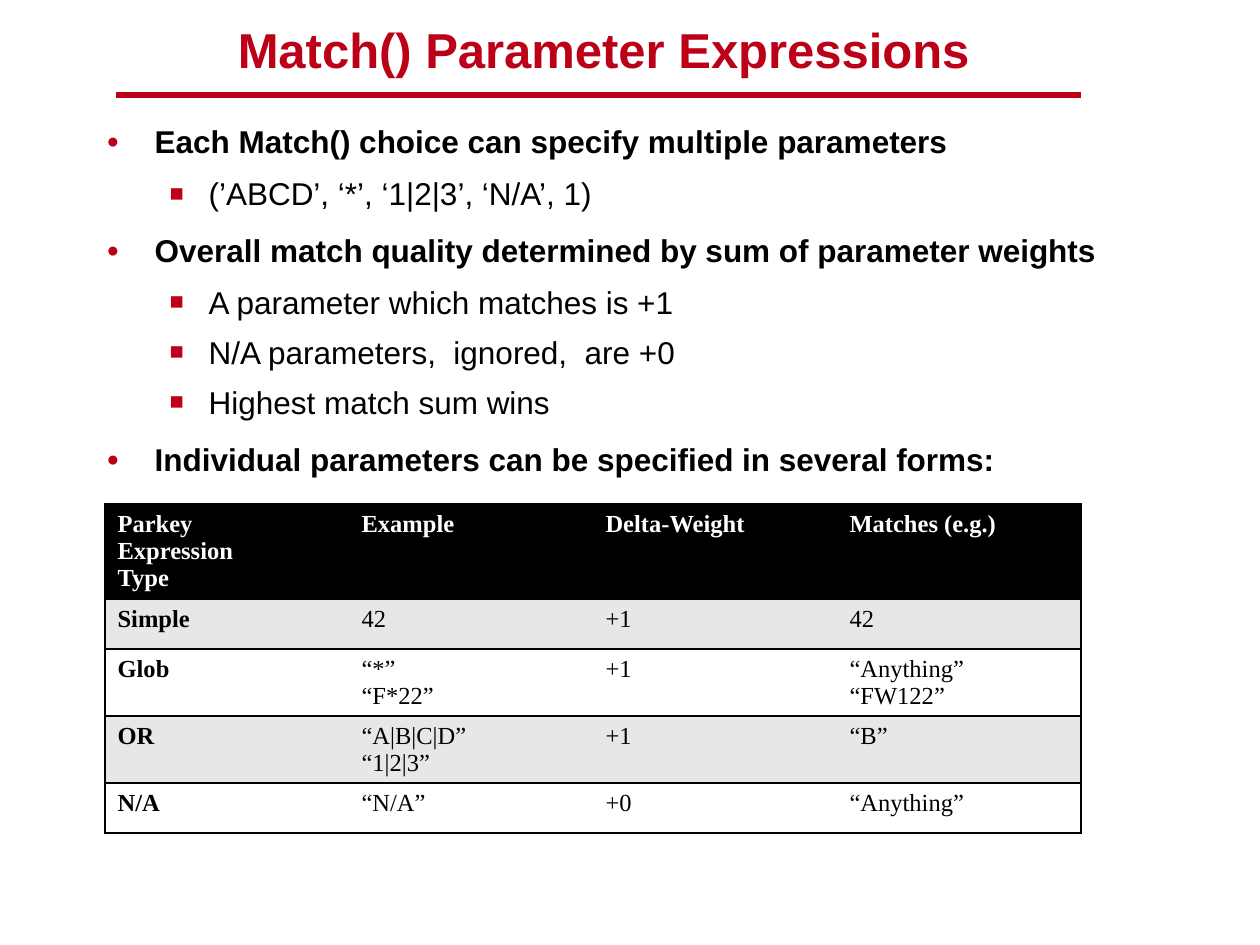
from lxml import etree
from pptx import Presentation
from pptx.dml.color import RGBColor
from pptx.enum.shapes import MSO_CONNECTOR
from pptx.enum.text import MSO_ANCHOR, MSO_AUTO_SIZE, PP_ALIGN
from pptx.oxml.ns import qn
from pptx.util import Emu, Pt

STRAIGHT = MSO_CONNECTOR.STRAIGHT
MIDDLE, TOP = MSO_ANCHOR.MIDDLE, MSO_ANCHOR.TOP
NO_FIT = MSO_AUTO_SIZE.NONE
CENTER = PP_ALIGN.CENTER
PX = 914400 / 126
COLORS = {"red": "BB0018", "black": "000000", "white": "FFFFFF", "band": "E7E7E7"}


def px(n):
    return Emu(round(n * PX))


def style(p, font, size, color, bold):
    for r in p.runs:
        r.font.name, r.font.size, r.font.bold = font, Pt(size), bold
        r.font.color.rgb = RGBColor.from_string(COLORS[color])


prs = Presentation()
prs.slide_width, prs.slide_height = px(1260), px(945)
s = prs.slides.add_slide(prs.slide_layouts[1])
title, body = s.placeholders

# Rule under the title
rule = s.shapes.add_connector(STRAIGHT, px(116), px(95), px(1081), px(95))
rule.line.color.rgb = RGBColor.from_string(COLORS["red"])
rule.line.width = Pt(3)
etree.SubElement(rule._element.spPr, qn("a:effectLst"))

# Title
title.left, title.top, title.width, title.height = px(126), px(21), px(955), px(55)
tf = title.text_frame
tf.text = "Match() Parameter Expressions"
tf.auto_size, tf.vertical_anchor = NO_FIT, MIDDLE
tf.paragraphs[0].alignment = CENTER
style(tf.paragraphs[0], "Arial", 28, "red", True)

# Bulleted list: level and text
items = [
    (0, "Each Match() choice can specify multiple parameters"),
    (1, "(’ABCD’, ‘*’, ‘1|2|3’, ‘N/A’, 1)"),
    (0, "Overall match quality determined by sum of parameter weights"),
    (1, "A parameter which matches is +1"),
    (1, "N/A parameters,  ignored,  are +0"),
    (1, "Highest match sum wins"),
    (0, "Individual parameters can be specified in several forms:"),
]
# For each level: left margin, hanging indent, space before and after, bullet, bullet size
levels = [(48, 48, 4, 8, "●", 67), (102, 39, 0, 7, "■", 75)]
body.left, body.top, body.width, body.height = px(94), px(116), px(1072), px(683)
tf = body.text_frame
tf.text = "\n".join(text for _, text in items)
tf.auto_size, tf.vertical_anchor = NO_FIT, TOP
for p, (level, _) in zip(tf.paragraphs, items):
    margin, hang, before, after, bullet, bullet_size = levels[level]
    p.level = level
    p.space_before, p.space_after = Pt(before), Pt(after)
    style(p, "Arial", 18, "black", level == 0)
    pPr = p._p.get_or_add_pPr()
    pPr.set("marL", str(px(margin)))
    pPr.set("indent", str(-px(hang)))
    clr = etree.SubElement(pPr, qn("a:buClr"))
    etree.SubElement(clr, qn("a:srgbClr"), val=COLORS["red"])
    etree.SubElement(pPr, qn("a:buSzPct"), val=str(bullet_size * 1000))
    etree.SubElement(pPr, qn("a:buFont"), typeface="Arial")
    etree.SubElement(pPr, qn("a:buChar"), char=bullet)

# Table of parameter forms
rows = [
    ("Parkey\nExpression\nType", "Example", "Delta-Weight", "Matches (e.g.)"),
    ("Simple", "42", "+1", "42"),
    ("Glob", "“*”\n“F*22”", "+1", "“Anything”\n“FW122”"),
    ("OR", "“A|B|C|D”\n“1|2|3”", "+1", "“B”"),
    ("N/A", "“N/A”", "+0", "“Anything”"),
]
heights = [95, 50, 67, 67, 50]
table = s.shapes.add_table(5, 4, px(105), px(504), px(976), px(sum(heights))).table
for i, (row, height) in enumerate(zip(rows, heights)):
    table.rows[i].height = px(height)
    fill = "black" if i == 0 else "band" if i % 2 else "white"
    for j, text in enumerate(row):
        cell = table.cell(i, j)
        cell.text = text
        for p in cell.text_frame.paragraphs:
            style(p, "Times New Roman", 14, "black" if i else "white", i == 0 or j == 0)
        # Borders: every horizontal line, but only the outer vertical ones
        tcPr = cell._tc.get_or_add_tcPr()
        for side, drawn in (("L", j == 0), ("R", j == 3), ("T", True), ("B", True)):
            ln = etree.SubElement(tcPr, qn("a:ln" + side), w=str(Pt(1)))
            if drawn:
                solid = etree.SubElement(ln, qn("a:solidFill"))
                etree.SubElement(solid, qn("a:srgbClr"), val=COLORS["black"])
            else:
                etree.SubElement(ln, qn("a:noFill"))
        cell.fill.solid()
        cell.fill.fore_color.rgb = RGBColor.from_string(COLORS[fill])

prs.save("out.pptx")
